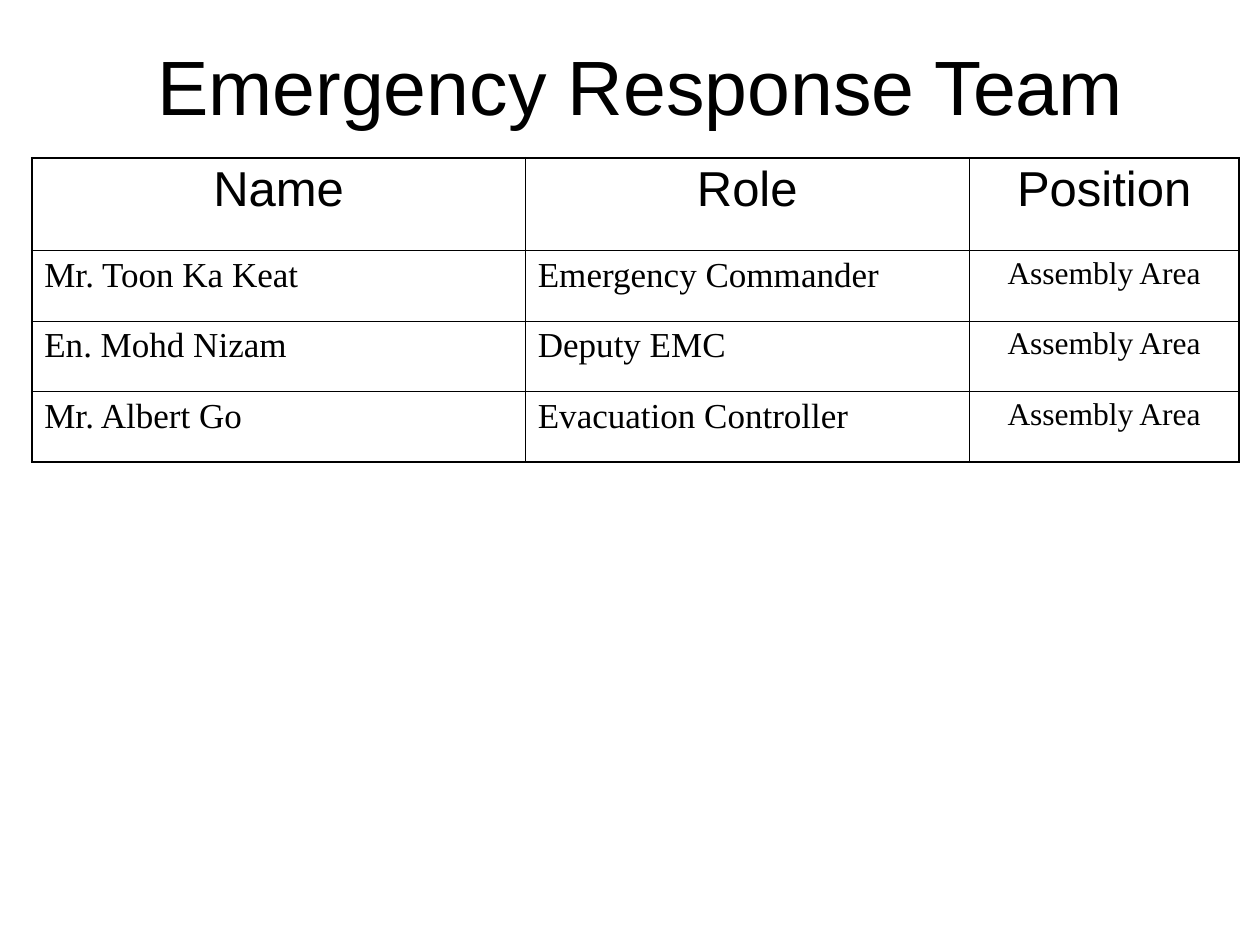
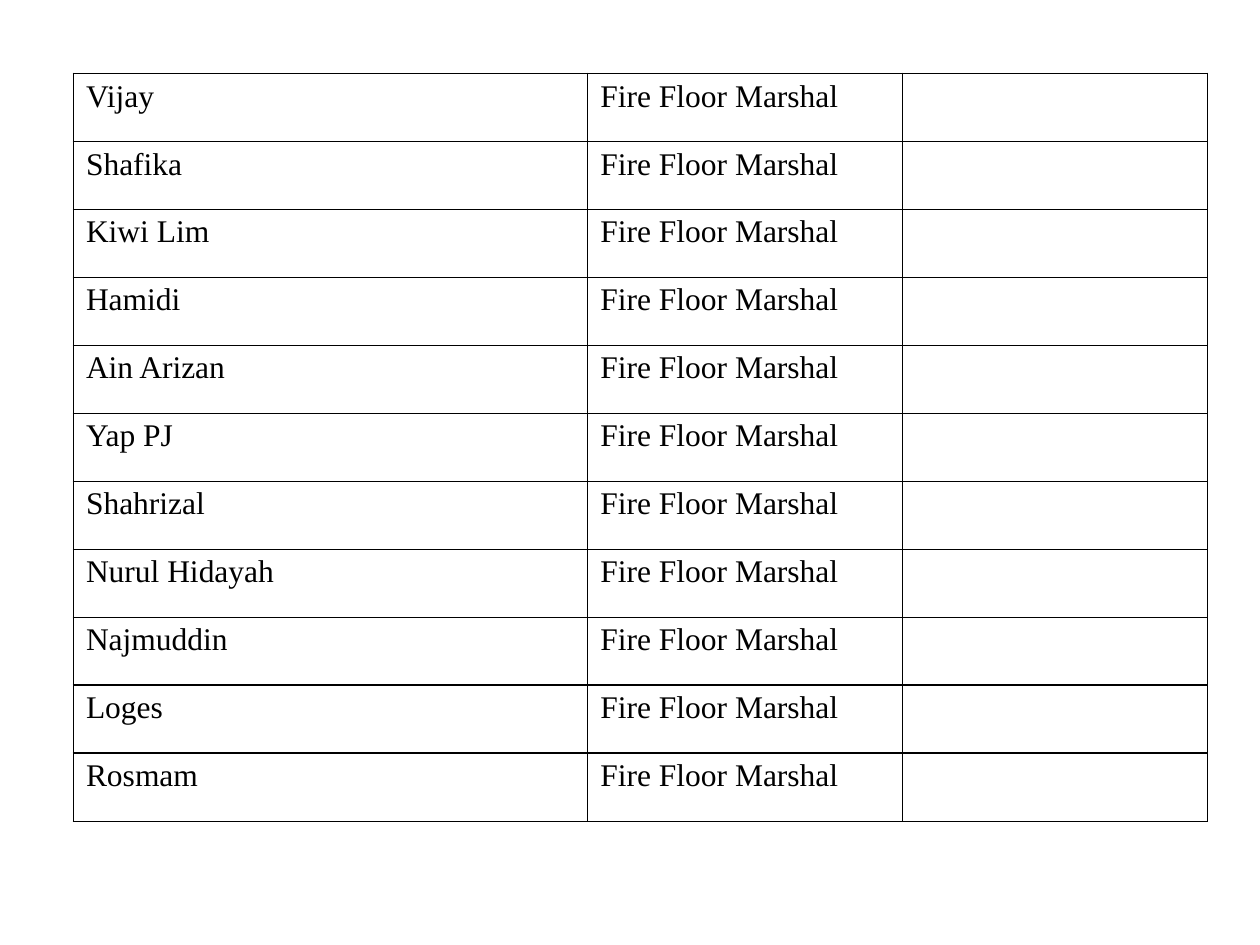
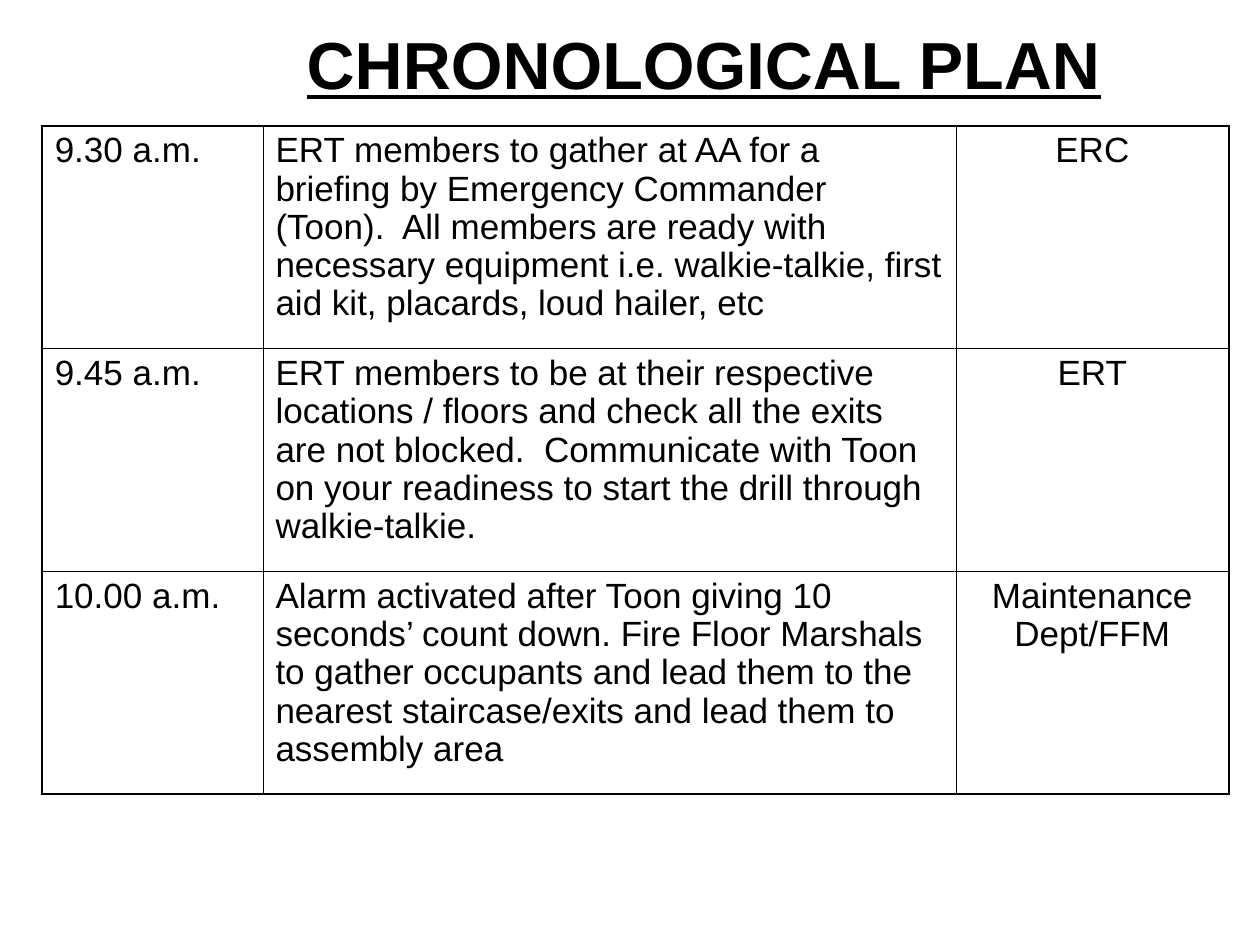
from dataclasses import dataclass

from lxml import etree
from pptx import Presentation
from pptx.dml.color import RGBColor
from pptx.enum.text import MSO_ANCHOR, MSO_AUTO_SIZE, PP_ALIGN
from pptx.oxml.ns import qn
from pptx.util import Cm, Pt

LEFT, CENTER = PP_ALIGN.LEFT, PP_ALIGN.CENTER
MIDDLE = MSO_ANCHOR.MIDDLE
NO_AUTOFIT = MSO_AUTO_SIZE.NONE
TITLE_ONLY, BLANK = 5, 6


@dataclass(frozen=True)
class Theme:
    ink: str = "000000"
    sans: str = "Arial"
    serif: str = "Times New Roman"
    title_size: int = 44
    plan_title_size: int = 38
    header_size: int = 28
    body_size: int = 20
    small_size: int = 18
    thin: float = 0.45
    heavy: float = 1.08
    space_before_ratio: float = 0.25
    line_spacing: float = 0.98


@dataclass(frozen=True)
class CellStyle:
    font: str
    size: int
    alignment: PP_ALIGN = LEFT


class Deck:
    """Holds the theme and the current slide."""

    def __init__(self, theme):
        self.theme = theme
        self.presentation = Presentation()
        self.presentation.slide_width = Cm(25.4)
        self.presentation.slide_height = Cm(19.05)
        self.slide = None

    def add_slide(self, layout):
        self.slide = self.presentation.slides.add_slide(
            self.presentation.slide_layouts[layout])

    def format_paragraph(self, paragraph, style, emphasis=False):
        paragraph.alignment = style.alignment
        for run in paragraph.runs:
            font = run.font
            font.name, font.size = style.font, Pt(style.size)
            font.color.rgb = RGBColor.from_string(self.theme.ink)
            font.bold = font.underline = emphasis

    def add_title(self, text, left, top, width, size, emphasis=False):
        title = self.slide.shapes.title
        title.left, title.top = Cm(left), Cm(top)
        title.width, title.height = Cm(width), Cm(4.24)
        frame = title.text_frame
        frame.text = text
        frame.word_wrap = True
        frame.auto_size = NO_AUTOFIT
        frame.vertical_anchor = MIDDLE
        style = CellStyle(self.theme.sans, size, CENTER)
        self.format_paragraph(frame.paragraphs[0], style, emphasis)

    def add_border(self, cell, side, width):
        properties = cell._tc.get_or_add_tcPr()
        line = etree.SubElement(properties, qn(f"a:ln{side}"), w=str(Pt(width)))
        fill = etree.SubElement(line, qn("a:solidFill"))
        etree.SubElement(fill, qn("a:srgbClr"), val=self.theme.ink)

    def fill_cell(self, cell, text, style):
        cell.text = text
        paragraph = cell.text_frame.paragraphs[0]
        paragraph.space_before = Pt(style.size * self.theme.space_before_ratio)
        paragraph.line_spacing = self.theme.line_spacing
        self.format_paragraph(paragraph, style)

    def add_table(self, rows, styles, left, top, widths, row_height,
                  heavy_lines, header=None, header_height=None):
        """heavy_lines numbers the thick horizontal rules, 0 being the top."""
        contents = ([header] if header else []) + rows
        heights = ([header_height] if header else []) + [row_height] * len(rows)
        table = self.slide.shapes.add_table(
            len(contents), len(widths), Cm(left), Cm(top),
            Cm(sum(widths)), Cm(sum(heights))).table
        table.first_row = table.horz_banding = False
        for column, width in zip(table.columns, widths):
            column.width = Cm(width)
        for row, height in zip(table.rows, heights):
            row.height = Cm(height)

        header_style = CellStyle(self.theme.sans, self.theme.header_size, CENTER)
        for i, texts in enumerate(contents):
            for j, text in enumerate(texts):
                cell = table.cell(i, j)
                style = header_style if header and i == 0 else styles[j]
                self.fill_cell(cell, text, style)
                heavy_sides = {"L": j == 0, "R": j == len(widths) - 1,
                               "T": i in heavy_lines, "B": i + 1 in heavy_lines}
                for side, heavy in heavy_sides.items():
                    self.add_border(cell, side,
                                    self.theme.heavy if heavy else self.theme.thin)
                cell.fill.background()


def main():
    theme = Theme()
    deck = Deck(theme)

    # Response team leaders
    deck.add_slide(TITLE_ONLY)
    deck.add_title("Emergency Response Team", 2.12, -0.42, 21.59, theme.title_size)
    leader = CellStyle(theme.serif, theme.body_size)
    position = CellStyle(theme.serif, theme.small_size, CENTER)
    leaders = [("Mr. Toon Ka Keat", "Emergency Commander"),
               ("En. Mohd Nizam", "Deputy EMC"),
               ("Mr. Albert Go", "Evacuation Controller")]
    deck.add_table([(*entry, "Assembly Area") for entry in leaders],
                   [leader, leader, position], 0.64, 3.18, [9.95, 8.95, 5.44],
                   1.42, {0, 4}, ("Name", "Role", "Position"), 1.87)

    # Floor marshals
    deck.add_slide(BLANK)
    marshal = CellStyle(theme.serif, theme.small_size)
    marshals = ["Vijay", "Shafika", "Kiwi Lim", "Hamidi", "Ain Arizan", "Yap PJ",
                "Shahrizal", "Nurul Hidayah", "Najmuddin", "Loges", "Rosmam"]
    deck.add_table([(name, "Fire Floor Marshal", "") for name in marshals],
                   [marshal] * 3, 1.48, 1.48, [10.37, 6.35, 6.14],
                   1.37, {0, 9, 10})

    # Drill timetable
    deck.add_slide(TITLE_ONLY)
    step = CellStyle(theme.sans, theme.body_size)
    owner = CellStyle(theme.sans, theme.body_size, CENTER)
    steps = [
        ("9.30 a.m.",
         "ERT members to gather at AA for a briefing by Emergency Commander "
         "(Toon).  All members are ready with necessary equipment i.e. "
         "walkie-talkie, first aid kit, placards, loud hailer, etc",
         "ERC"),
        ("9.45 a.m.",
         "ERT members to be at their respective locations / floors and check "
         "all the exits are not blocked.  Communicate with Toon on your "
         "readiness to start the drill through walkie-talkie.",
         "ERT"),
        ("10.00 a.m.",
         "Alarm activated after Toon giving 10 seconds’ count down. Fire Floor "
         "Marshals to gather occupants and lead them to the nearest "
         "staircase/exits and lead them to assembly area",
         "Maintenance Dept/FFM"),
    ]
    deck.add_table(steps, [step, step, owner], 0.85, 2.54, [4.45, 13.97, 5.5],
                   4.49, {0, 3})
    deck.add_title("CHRONOLOGICAL PLAN", 4.45, -0.85, 19.47,
                   theme.plan_title_size, emphasis=True)

    deck.presentation.save("out.pptx")


if __name__ == "__main__":
    main()
